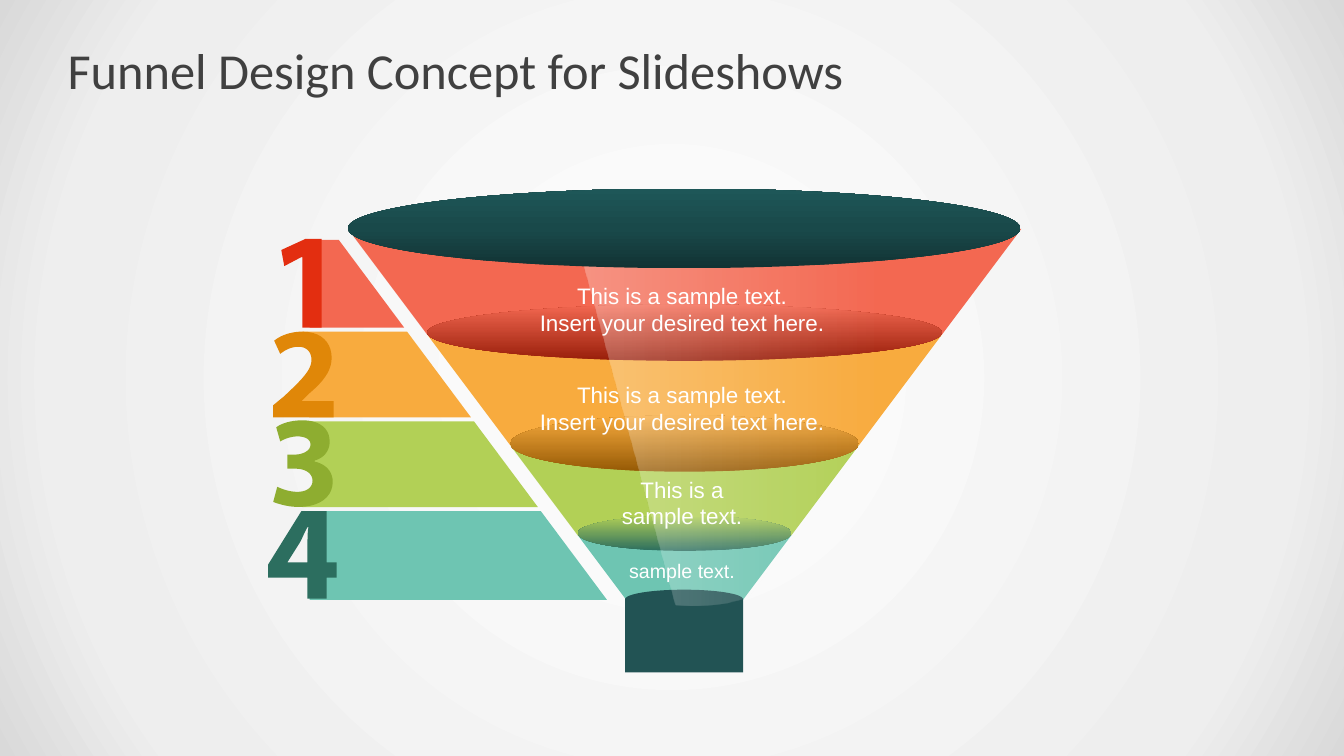
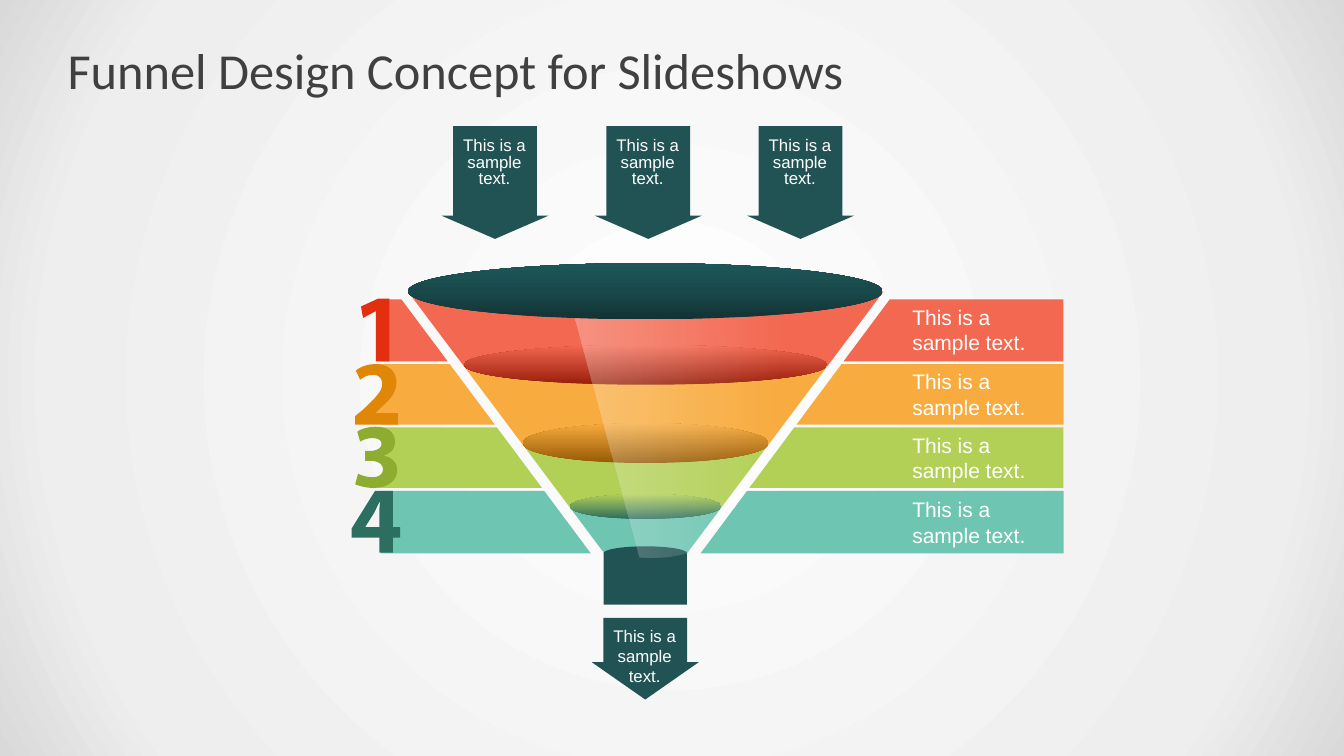
from dataclasses import dataclass

from pptx import Presentation
from pptx.dml.color import RGBColor
from pptx.enum.shapes import MSO_SHAPE
from pptx.enum.text import MSO_ANCHOR, MSO_AUTO_SIZE, PP_ALIGN
from pptx.oxml import parse_xml
from pptx.oxml.ns import nsdecls, qn
from pptx.util import Pt

OVAL, RECT, ARROW = MSO_SHAPE.OVAL, MSO_SHAPE.RECTANGLE, MSO_SHAPE.DOWN_ARROW
LEFT, CENTER = PP_ALIGN.LEFT, PP_ALIGN.CENTER
MIDDLE, FIXED = MSO_ANCHOR.MIDDLE, MSO_AUTO_SIZE.NONE

PX = 9144  # EMU; 100 px to the inch
WHITE = RGBColor(0xFF, 0xFF, 0xFF)
PALE = RGBColor(0xEE, 0xEE, 0xEE)
GREY = RGBColor(0xD9, 0xD9, 0xD9)
DARK = RGBColor(0x40, 0x40, 0x40)
RED = RGBColor(0xF3, 0x68, 0x51)
RED_INK = RGBColor(0xE3, 0x2E, 0x10)
RED_DEEP = RGBColor(0x98, 0x1E, 0x0A)
GOLD = RGBColor(0xF8, 0xAB, 0x3E)
GOLD_INK = RGBColor(0xE0, 0x87, 0x08)
GOLD_DEEP = RGBColor(0x96, 0x5A, 0x05)
LIME = RGBColor(0xB2, 0xD0, 0x56)
LIME_INK = RGBColor(0x8E, 0xAD, 0x30)
MINT = RGBColor(0x6E, 0xC5, 0xB2)
PINE = RGBColor(0x2C, 0x6E, 0x5F)
TEAL = RGBColor(0x22, 0x53, 0x54)
TEAL_LOW = RGBColor(0x12, 0x33, 0x34)
TEAL_MID = RGBColor(0x19, 0x49, 0x4A)
TEAL_TOP = RGBColor(0x1E, 0x57, 0x58)

UP = '<a:lin ang="16200000" scaled="0"/>'
ACROSS = '<a:lin ang="0" scaled="0"/>'
ROUND = ('<a:path path="circle"><a:fillToRect l="50000" t="50000" '
         'r="50000" b="50000"/></a:path>')

TITLE = "Funnel Design Concept for Slideshows"
SAMPLE = "This is a sample text."
MID, MOUTH, NECK, END = 679, 227, 595, 1266

# In an outline a pair is a corner and a six is a Bezier curve.
ONE = [[(300, 255), (299, 255), (282, 264), (279, 248), (303, 237),
        (319, 237), (319, 325), (300, 325)]]
TWO = [[(271, 414), (271, 402), (282, 393), (300, 376, 309, 367, 309, 357),
        (309, 350, 305, 344, 296, 344), (288, 344, 282, 348, 278, 351),
        (272, 338), (278, 333, 288, 329, 300, 329),
        (319, 329, 329, 340, 329, 355), (329, 369, 319, 380, 306, 391),
        (299, 398), (331, 398), (331, 414)]]
THREE = [[(275, 483), (279, 485, 287, 488, 295, 488),
          (305, 488, 310, 483, 310, 477), (310, 469, 302, 465, 293, 465),
          (285, 465), (285, 451), (293, 451),
          (299, 451, 308, 448, 308, 441), (308, 436, 303, 433, 295, 433),
          (288, 433, 281, 436, 278, 438), (274, 424),
          (279, 420, 289, 417, 300, 417), (318, 417, 327, 426, 327, 438),
          (327, 447, 322, 454, 312, 457), (312, 458),
          (322, 460, 330, 467, 330, 478), (330, 493, 317, 503, 296, 503),
          (286, 503, 276, 500, 271, 498)]]
FOUR = [[(305, 594), (305, 573), (266, 573), (266, 560), (299, 507),
         (324, 507), (324, 558), (334, 558), (334, 573), (324, 573),
         (324, 594)],
        [(305, 558), (305, 539), (305, 534, 305, 528, 306, 523), (305, 523),
         (302, 528, 300, 534, 297, 539), (285, 558)]]
GLOSS = [[(579, 263), (670, 600), (670, 600, 708, 605, 742, 592),
          (1011, 231), (1011, 231, 729, 273, 579, 263)]]


@dataclass
class Layer:
    tint: RGBColor
    ink: RGBColor
    deep: RGBColor
    base: int
    rim: int  # height of the lower rim, 0 for none
    side: list  # left end of the band, from top to bottom
    digit: list


LAYERS = [
    Layer(RED, RED_INK, RED_DEEP, 332, 56, [(307, 238), (307, 325)], ONE),
    Layer(GOLD, GOLD_INK, GOLD_DEEP, 442, 56,
          [(300, 329), (318, 358), (292, 396), (307, 414)], TWO),
    Layer(LIME, LIME_INK, PINE, 531, 35,
          [(307, 418), (312, 441), (307, 458), (313, 478), (300, 503)], THREE),
    Layer(MINT, PINE, PINE, NECK, 0, [(307, 507), (307, 595)], FOUR),
]


def half(y):
    """Half the width of the cone at height y."""
    return 334 - 0.75 * (y - MOUTH)


def edge(y):
    """Slanted end of a left band at height y."""
    return 336 + 0.745 * (y - 238)


def trace(ring, steps=10):
    """Turn corners and curves into a plain list of points."""
    spots = []
    for part in ring:
        if len(part) == 2:
            spots.append(part)
            continue
        a, b = spots[-1], part[:2]
        c, d = part[2:4], part[4:]
        for n in range(1, steps + 1):
            t = n / steps
            u = 1 - t
            spots.append(tuple(
                u**3 * a[k] + 3 * u * u * t * b[k]
                + 3 * u * t * t * c[k] + t**3 * d[k] for k in (0, 1)))
    return spots


def blend(fill, host, stops, way):
    """Give host a gradient of (percent, colour, alpha percent) stops."""
    fill.gradient()
    old = next(host.iter(qn("a:gradFill")))
    marks = "".join(
        f'<a:gs pos="{at * 1000}"><a:srgbClr val="{tone}">'
        f'<a:alpha val="{alpha * 1000}"/></a:srgbClr></a:gs>'
        for at, tone, alpha in stops)
    old.getparent().replace(old, parse_xml(
        f'<a:gradFill {nsdecls("a")} rotWithShape="1">'
        f'<a:gsLst>{marks}</a:gsLst>{way}</a:gradFill>'))


class Deck:
    def __init__(self):
        self.prs = Presentation()
        self.prs.slide_width, self.prs.slide_height = 1333 * PX, 750 * PX
        master = self.prs.slide_master
        blend(master.background.fill, master.element,
              [(0, WHITE, 100), (81, PALE, 100), (100, GREY, 100)], ROUND)

    def start(self, title):
        self.slide = self.prs.slides.add_slide(self.prs.slide_layouts[5])
        self.shapes = self.slide.shapes
        self.view()
        head = self.shapes.title
        head.left, head.top, head.width, head.height = (
            n * PX for n in (67, 30, 1200, 78))
        frame = head.text_frame
        frame.auto_size, frame.vertical_anchor = FIXED, MIDDLE
        frame.margin_left = frame.margin_right = 0
        self.put(frame.paragraphs[0], title, 36, DARK, "Calibri", LEFT)

    def view(self, zoom=1, dx=0, dy=0):
        """Scale and shift what is drawn next."""
        self.zoom, self.dx, self.dy = zoom, dx, dy

    def spot(self, x, y):
        return (round((x * self.zoom + self.dx) * PX),
                round((y * self.zoom + self.dy) * PX))

    def put(self, para, words, size, tone, face, align):
        """Add a formatted run to a paragraph."""
        para.alignment = align
        run = para.add_run()
        run.text = words
        run.font.size, run.font.name = Pt(size), face
        run.font.color.rgb = tone

    def finish(self, shape, fill, way):
        """Fill with one colour, or with stops when way is given."""
        shape.shadow.inherit = False
        shape.line.fill.background()
        if way:
            blend(shape.fill, shape.element, fill, way)
        else:
            shape.fill.solid()
            shape.fill.fore_color.rgb = fill
        return shape

    def shape(self, kind, x, y, w, h, fill, way=None):
        left, top = self.spot(x, y)
        right, low = self.spot(x + w, y + h)
        item = self.shapes.add_shape(kind, left, top, right - left, low - top)
        return self.finish(item, fill, way)

    def outline(self, rings, fill, way=None):
        pen = None
        for ring in rings:
            first, *rest = [self.spot(*p) for p in trace(ring)]
            if pen is None:
                pen = self.shapes.build_freeform(*first, scale=1.0)
            else:
                pen.move_to(*first)
            pen.add_line_segments(rest, close=True)
        self.finish(pen.convert_to_shape(), fill, way)

    def text(self, x, y, w, h, lines, size, align=CENTER, lead=None):
        box = self.shapes.add_textbox(x * PX, y * PX, w * PX, h * PX)
        frame = box.text_frame
        frame.word_wrap = True
        for n, line in enumerate(lines):
            para = frame.add_paragraph() if n else frame.paragraphs[0]
            para.line_spacing = lead
            self.put(para, line, size, WHITE, "Arial", align)

    def arrow(self, x, y, tall, tip, drop, lead=None):
        """Down arrow with a head of height tip and text drop px below its top."""
        wide, shaft = 106, 83
        item = self.shape(ARROW, x, y, wide, tall, TEAL)
        item.adjustments[0] = shaft / wide
        item.adjustments[1] = tip / min(wide, tall)
        self.text(x + 11, y + drop, shaft, 59, [SAMPLE], 12, lead=lead)

    def bands(self, right):
        for layer in LAYERS:
            top, low = layer.side[0][1], layer.side[-1][1]
            ends = [(edge(low), low), (edge(top), top)]
            self.outline([layer.side + ends], layer.tint)
            if right:
                ends = [(2 * MID - x, y) for x, y in ends]
                self.outline([[(END, top), (END, low)] + ends], layer.tint)
            self.outline(layer.digit, layer.ink)

    def funnel(self):
        top = MOUTH
        for layer in LAYERS:
            low = layer.base
            a, b = half(top), half(low)
            self.outline([[(MID - a, top), (MID + a, top),
                           (MID + b, low), (MID - b, low)]], layer.tint)
            top = low
        for layer in LAYERS:
            if layer.rim:
                b = half(layer.base)
                self.shape(OVAL, MID - b, layer.base - 2 - layer.rim / 2,
                           2 * b, layer.rim,
                           [(0, layer.deep, 100), (100, layer.tint, 100)], UP)
        self.shape(OVAL, 620, 585, 117, 19, TEAL)
        self.shape(RECT, 620, 594, 117, 73, TEAL)
        self.outline(GLOSS, [(0, WHITE, 28), (67, WHITE, 0)], ACROSS)
        self.shape(OVAL, 345, 187, 667, 79,
                   [(0, TEAL_LOW, 100), (50, TEAL_MID, 100),
                    (100, TEAL_TOP, 100)], UP)


def main():
    deck = Deck()

    deck.start(TITLE)
    deck.bands(right=False)
    deck.funnel()
    for y in (275, 373):
        deck.text(520, y, 313, 64,
                  [SAMPLE, "Insert your desired text here."], 16)
    deck.text(605, 467, 143, 64, [SAMPLE], 16)
    deck.text(605, 550, 143, 34, ["sample text."], 14)

    deck.start(TITLE)
    deck.view(0.706, 161, 129)
    deck.bands(right=True)
    deck.funnel()
    deck.view()
    for x in (438, 590, 741):
        deck.arrow(x, 125, 112, 23, 8, lead=0.8)
    deck.arrow(587, 613, 81, 37, 3)
    for y in (297, 361, 424, 488):
        deck.text(895, y, 133, 61, [SAMPLE], 15, LEFT)

    deck.prs.save("out.pptx")


if __name__ == "__main__":
    main()
